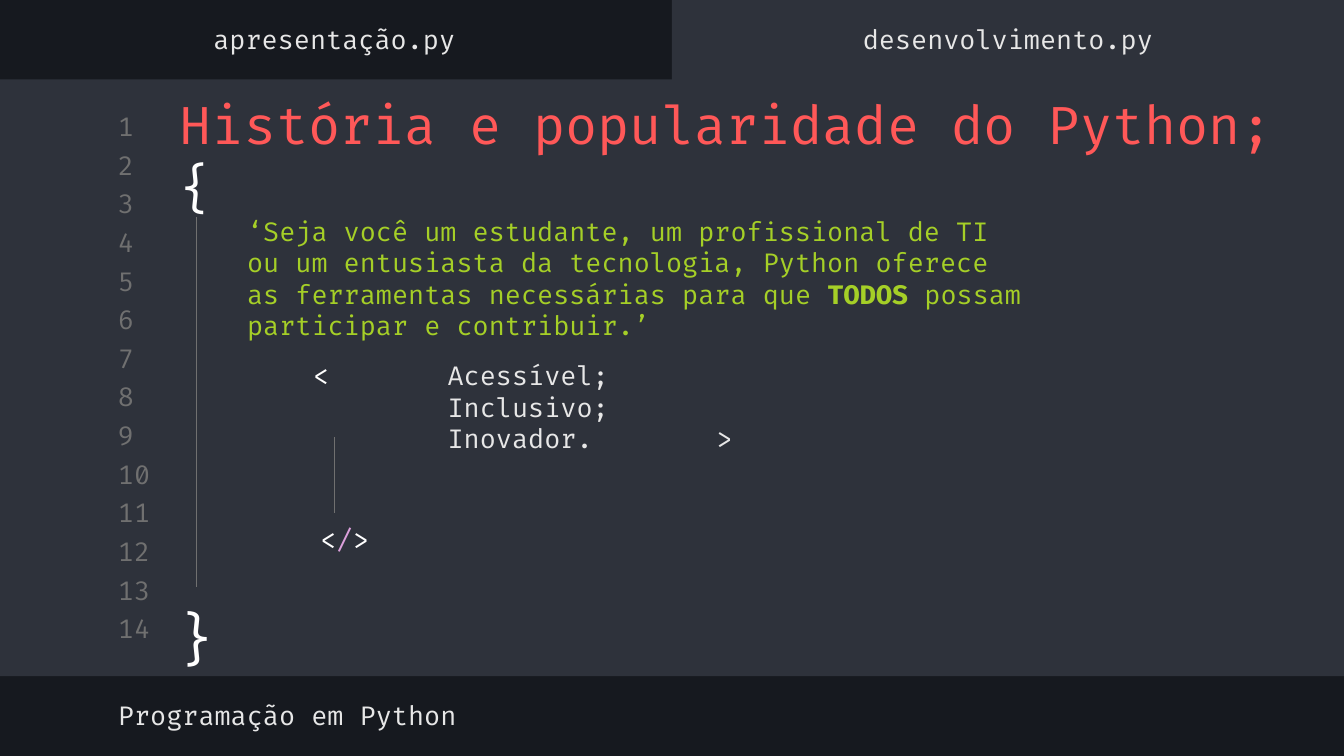
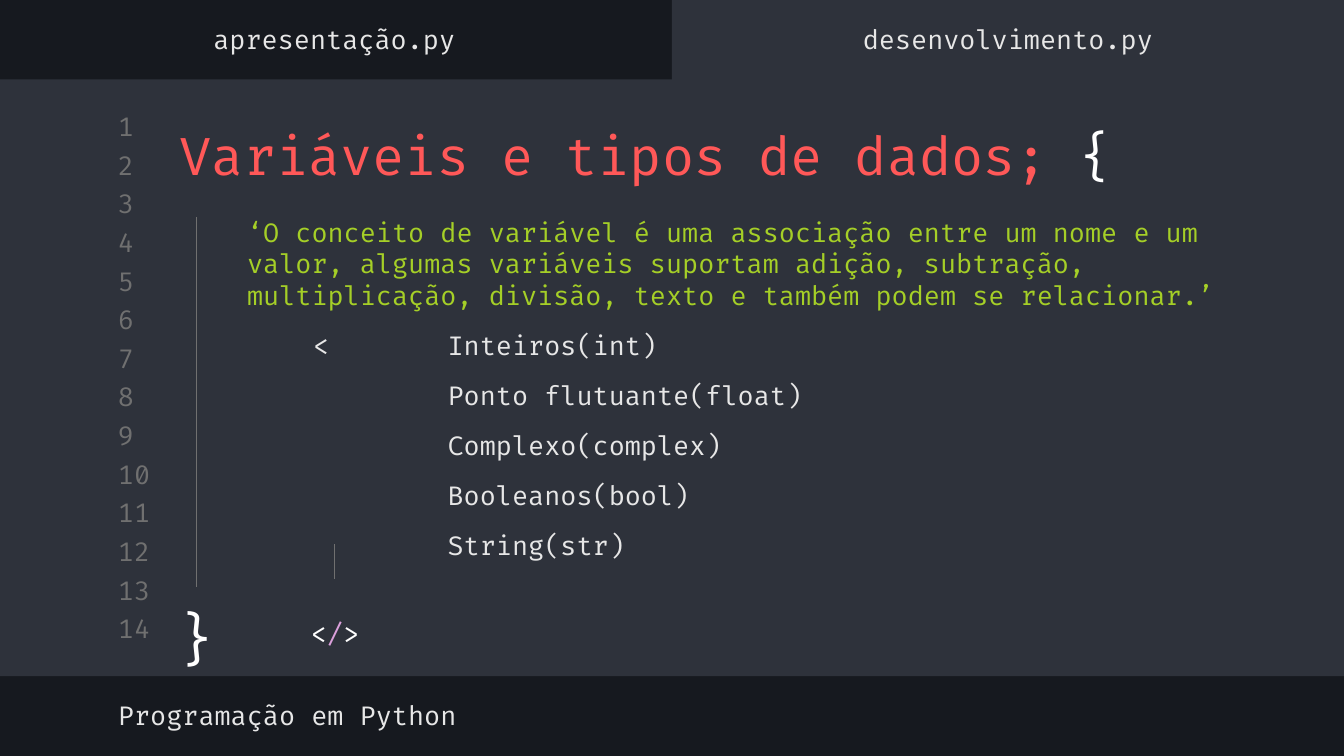
"""Builds two code-editor style slides about Python."""
from pptx import Presentation
from pptx.dml.color import RGBColor
from pptx.enum.shapes import MSO_CONNECTOR, MSO_SHAPE
from pptx.enum.text import MSO_ANCHOR, MSO_AUTO_SIZE, PP_ALIGN
from pptx.oxml.ns import qn
from pptx.util import Cm, Pt

DARK = RGBColor(0x16, 0x19, 0x1F)
PANEL = RGBColor(0x2E, 0x32, 0x3B)
GRAY = RGBColor(0x70, 0x70, 0x70)
LIGHT = RGBColor(0xE7, 0xE7, 0xE7)
WHITE = RGBColor(0xFF, 0xFF, 0xFF)
RED = RGBColor(0xFF, 0x58, 0x58)
GREEN = RGBColor(0xA5, 0xCF, 0x27)
PINK = RGBColor(0xDB, 0xA0, 0xDB)

RECTANGLE = MSO_SHAPE.RECTANGLE
STRAIGHT = MSO_CONNECTOR.STRAIGHT
TOP, MIDDLE = MSO_ANCHOR.TOP, MSO_ANCHOR.MIDDLE
LEFT, CENTER = PP_ALIGN.LEFT, PP_ALIGN.CENTER
NO_FIT = MSO_AUTO_SIZE.NONE

FONT = "Fira Code"
INSET = 0.25
LINE_COUNT = 14
LINE_PITCH = 0.73


class Editor:
    """Holds the deck style and the current page."""

    def __init__(self):
        self.deck = Presentation()
        self.deck.slide_width, self.deck.slide_height = Cm(25.4), Cm(14.29)
        self.page = None

    def new_page(self):
        self.page = self.deck.slides.add_slide(self.deck.slide_layouts[5])
        background = self.page.background.fill
        background.solid()
        background.fore_color.rgb = DARK
        self.panel(0, 1.5, 25.4, 11.28)
        self.panel(12.7, 0, 12.7, 1.65)
        for index in range(LINE_COUNT):
            self.text(1.98, 2.08 + index * LINE_PITCH, 1.19, 0.61,
                      [(str(index + 1), GRAY)])
        self.text(1.98, 13.03, 13.51, 0.99, [("Programação em Python", LIGHT)])
        for left, name in ((-0.03, "apresentação.py"), (12.7, "desenvolvimento.py")):
            self.text(left, 0.25, 12.7, 0.99, [(name, LIGHT)], align=CENTER)
        self.text(3.02, 11.15, 1.4, 1.63, [("}", WHITE)], 30, CENTER, TOP)
        self.line(3.71, 4.11, 11.1)

    def panel(self, left, top, width, height):
        panel = self.page.shapes.add_shape(
            RECTANGLE, Cm(left), Cm(top), Cm(width), Cm(height))
        panel.shadow.inherit = False
        panel.fill.solid()
        panel.fill.fore_color.rgb = PANEL
        panel.line.fill.background()

    def line(self, x, top, bottom):
        line = self.page.shapes.add_connector(STRAIGHT, Cm(x), Cm(top), Cm(x), Cm(bottom))
        line.line.color.rgb = GRAY
        line.line.width = Pt(0.75)
        properties = line.element.spPr
        properties.append(properties.makeelement(qn("a:effectLst"), {}))

    def frame(self, box, anchor, bottom=INSET):
        frame = box.text_frame
        frame.word_wrap = True
        frame.auto_size = NO_FIT
        frame.vertical_anchor = anchor
        frame.margin_left = frame.margin_right = frame.margin_top = Cm(INSET)
        frame.margin_bottom = Cm(bottom)
        return frame

    def add_spans(self, para, spans, size=14, align=LEFT):
        para.alignment = align
        for text, color, *bold in spans:
            for index, part in enumerate(text.split("\n")):
                if index:
                    para.add_line_break()
                span = para.add_run()
                span.text = part
                span.font.name = FONT
                span.font.size = Pt(size)
                span.font.bold = bool(bold)
                span.font.color.rgb = color

    def text(self, left, top, width, height, spans, size=14, align=LEFT,
             anchor=MIDDLE, bottom=INSET):
        box = self.page.shapes.add_textbox(Cm(left), Cm(top), Cm(width), Cm(height))
        frame = self.frame(box, anchor, bottom)
        self.add_spans(frame.paragraphs[0], spans, size, align)
        return frame

    def title(self, text, width):
        title = self.page.shapes.title
        title.left, title.top = Cm(3.15), Cm(1.73)
        title.width, title.height = Cm(width), Cm(2.39)
        title.element.getparent().append(title.element)
        para = self.frame(title, MIDDLE).paragraphs[0]
        self.add_spans(para, [(text + " ", RED), ("{", WHITE)], 28)

    def body(self, width, height, quote, items, bottom=INSET):
        frame = self.text(4.42, 4.37, width, height, quote, bottom=bottom)
        for spans in items:
            para = frame.add_paragraph()
            properties = para._p.get_or_add_pPr()
            properties.set("marL", str(Cm(1.25)))
            properties.set("indent", "0")
            properties.set("defTabSz", str(Cm(2.54)))
            para.space_before = Pt(10)
            self.add_spans(para, spans)

    def closing_tag(self, left, top, height):
        self.text(left, top, 1.85, height,
                  [("<", WHITE), ("/", PINK), (">", WHITE)], align=CENTER, anchor=TOP)


def build_history(editor):
    editor.new_page()
    editor.title("História e popularidade do Python;", 22.25)
    quote = [
        ("‘Seja você um estudante, um profissional de TI ou um entusiasta da "
         "tecnologia, Python oferece as ferramentas necessárias para que ", GREEN),
        ("TODOS", GREEN, True),
        (" possam participar e contribuir.’", GREEN),
    ]
    traits = [("<", WHITE), ("\tAcessível;\n\tInclusivo;\n\tInovador.\t>", LIGHT)]
    editor.body(15.39, 3.91, quote, [traits])
    editor.line(6.32, 8.26, 9.7)
    editor.closing_tag(5.59, 9.65, 1.12)


def build_variables(editor):
    editor.new_page()
    editor.title("Variáveis e tipos de dados;", 21.62)
    quote = [("‘O conceito de variável é uma associação entre um nome e um valor, "
              "algumas variáveis suportam adição, subtração, multiplicação, divisão, "
              "texto e também podem se relacionar.’", GREEN)]
    types = ("<\tInteiros(int)", "\tPonto flutuante(float)", "\tComplexo(complex)",
             "\tBooleanos(bool)", "\tString(str)")
    editor.body(19.71, 6.53, quote, [[(name, LIGHT)] for name in types], bottom=0.83)
    editor.line(6.32, 10.29, 10.95)
    editor.closing_tag(5.41, 11.43, 0.48)


def main():
    editor = Editor()
    build_history(editor)
    build_variables(editor)
    editor.deck.save("out.pptx")


if __name__ == "__main__":
    main()
